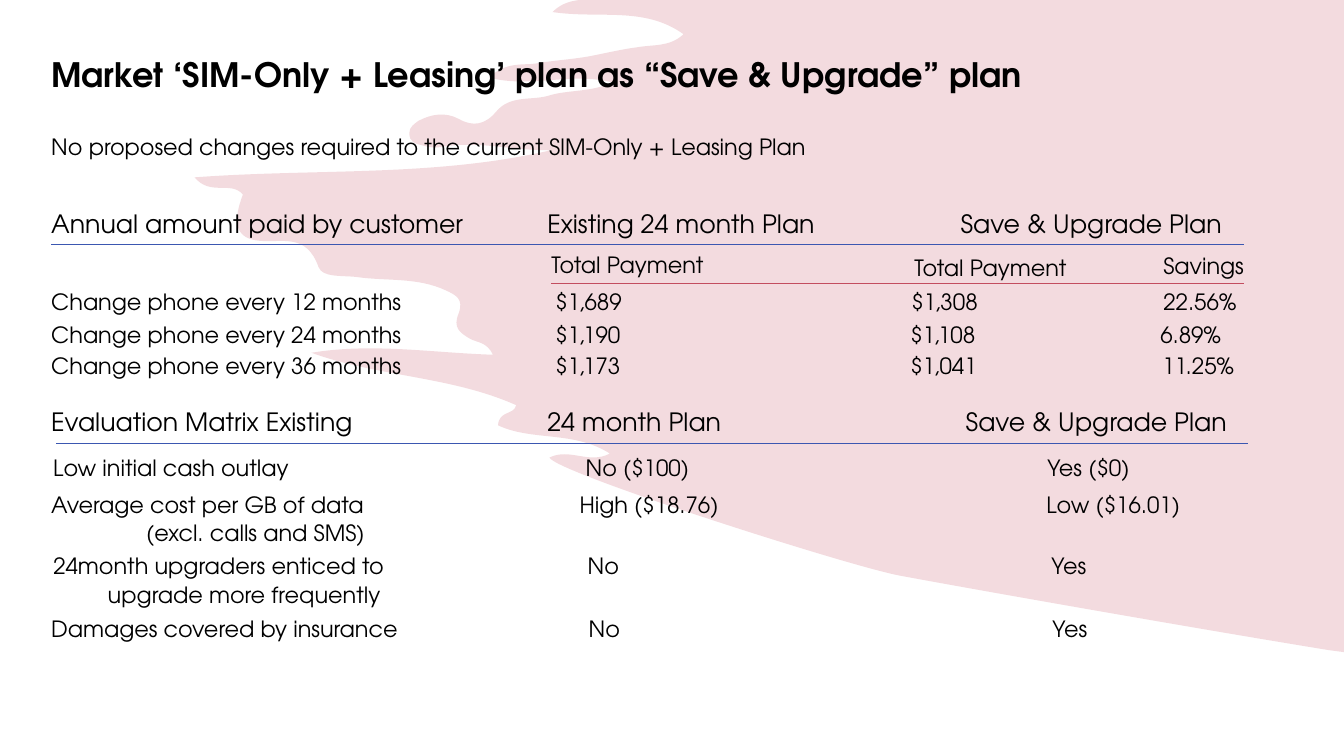
"""Build the slide that compares the existing plan with the Save & Upgrade plan."""
from lxml import etree
from pptx import Presentation
from pptx.dml.color import RGBColor
from pptx.enum.shapes import MSO_CONNECTOR
from pptx.enum.text import MSO_ANCHOR, MSO_AUTO_SIZE, PP_ALIGN
from pptx.oxml.ns import qn
from pptx.util import Pt

STRAIGHT = MSO_CONNECTOR.STRAIGHT
MIDDLE = MSO_ANCHOR.MIDDLE
LEFT = PP_ALIGN.LEFT
FIT_SHAPE = MSO_AUTO_SIZE.SHAPE_TO_FIT_TEXT
NO_FIT = MSO_AUTO_SIZE.NONE

PX = 9144
FONT = "TeX Gyre Adventor"
COLORS = {"text": "000000", "rose": "C34D5F", "blue": "3B57B1"}
BRUSH_CURVES = [
    ((567, 1), (557, 3), (548, 12)), ((595, 19), (639, 6), (678, 34)),
    ((664, 47), (648, 44), (632, 47)), ((616, 49), (600, 53), (584, 56)),
    ((567, 59), (549, 60), (532, 63)), ((518, 65), (502, 61), (485, 77)),
    ((527, 88), (566, 71), (608, 82)), ((584, 92), (563, 89), (544, 95)),
    ((527, 100), (506, 94), (492, 111)), ((481, 124), (469, 126), (455, 118)),
    ((442, 111), (428, 113), (415, 120)), ((411, 123), (406, 126), (406, 132)),
    ((406, 141), (412, 143), (418, 144)), ((424, 146), (431, 147), (437, 146)),
    ((474, 139), (510, 150), (547, 149)), ((431, 176), (314, 167), (193, 176)),
    ((209, 195), (229, 179), (241, 193)), ((230, 222), (234, 237), (258, 239)),
    ((280, 241), (304, 231), (316, 265)), ((320, 276), (341, 273), (355, 275)),
    ((384, 279), (414, 275), (442, 288)), ((453, 293), (460, 297), (455, 311)),
    ((449, 325), (456, 330), (466, 336)), ((473, 340), (483, 339), (489, 352)),
    ((428, 350), (369, 340), (309, 350)), ((375, 374), (447, 373), (512, 402)),
    ((510, 412), (495, 407), (494, 422)), ((528, 438), (569, 427), (605, 450)),
    ((584, 461), (565, 444), (545, 454)), ((552, 469), (840, 561), (892, 571)),
    ((978, 587), (1195, 625), (1318, 645)),
]
ROWS = [
    (41, 127, 1029, 16, ["No proposed changes required to the current SIM-Only + Leasing Plan"], []),
    (41, 202, 1217, 18,
     ["Annual amount paid by customer", "Existing 24 month Plan", "Save & Upgrade Plan"], [492, 902]),
    (537, 244, 207, 16, ["Total Payment"], []),
    (897, 247, 207, 16, ["Total Payment"], []),
    (1144, 245, 110, 16, ["Savings"], []),
    (41, 281, 1205, 16,
     ["Change phone every 12 months", "$1,689", "$1,308", "22.56%"], [500, 853, 1103]),
    (41, 314, 1195, 16,
     ["Change phone every 24 months", "$1,190", "$1,108", "6.89%"], [500, 852, 1100]),
    (41, 344, 1208, 16,
     ["Change phone every 36 months", "$1,173", "$1,041", "11.25%"], [500, 852, 1102]),
    (41, 398, 1194, 18,
     ["Evaluation Matrix Existing", "24 month Plan", "Save & Upgrade Plan"], [492, 907]),
    (43, 446, 1114, 16, ["Low initial cash outlay", "No ($100)", "Yes ($0)"], [528, 986]),
    (41, 482, 1170, 16,
     ["Average cost per GB of data", "High ($18.76)", "Low ($16.01)"], [524, 987]),
    (43, 543, 1059, 16, ["24month upgraders enticed to", "No", "Yes"], [530, 990]),
    (41, 605, 1071, 16, ["Damages covered by insurance", "No", "Yes"], [533, 993]),
    (135, 510, 281, 16, ["(excl. calls and SMS)"], []),
    (97, 572, 295, 16, ["upgrade more frequently"], []),
]
RULES = [(51, 1234, 242, "blue"), (547, 1234, 281, "rose"), (56, 1238, 440, "blue")]


def write_text(paragraph, text, size, bold):
    """Put one formatted run in the paragraph."""
    run = paragraph.add_run()
    run.text = text
    for name, value in {"name": FONT, "size": Pt(size), "bold": bold}.items():
        setattr(run.font, name, value)
    run.font.color.rgb = RGBColor.from_string(COLORS["text"])


presentation = Presentation()
presentation.slide_width = 1333 * PX
presentation.slide_height = 750 * PX
slide = presentation.slides.add_slide(presentation.slide_layouts[5])

builder = slide.shapes.build_freeform(1333, 0, scale=PX)
curve_points = [point for curve in BRUSH_CURVES for point in curve]
builder.add_line_segments([(575, 0), *curve_points, (1333, 647)], close=True)
brush = builder.convert_to_shape()
segments = list(brush.element.iter(qn("a:lnTo")))[1:-1]
for index in range(0, len(segments), 3):
    curve = etree.Element(qn("a:cubicBezTo"))
    segments[index].addprevious(curve)
    for segment in segments[index:index + 3]:
        curve.append(segment[0])
        segment.getparent().remove(segment)
brush.shadow.inherit = False
brush.line.fill.background()
brush.fill.solid()
brush.fill.fore_color.rgb = RGBColor.from_string(COLORS["rose"])
brush_color = brush.element.spPr.find(qn("a:solidFill"))[0]
etree.SubElement(brush_color, qn("a:alpha"), val="20000")
brush.element.getparent().insert(2, brush.element)

title = slide.shapes.title
for name, value in {"left": 41, "top": 44, "width": 1150, "height": 64}.items():
    setattr(title, name, value * PX)
for name, value in {"vertical_anchor": MIDDLE, "word_wrap": True, "auto_size": NO_FIT}.items():
    setattr(title.text_frame, name, value)
title_paragraph = title.text_frame.paragraphs[0]
title_paragraph.alignment = LEFT
title_paragraph.line_spacing = 0.9
write_text(title_paragraph, "Market ‘SIM-Only + Leasing’ plan as “Save & Upgrade” plan", 24, True)

for left, top, width, size, cells, tabs in ROWS:
    height = 40 if size == 18 else 37
    box = slide.shapes.add_textbox(left * PX, top * PX, width * PX, height * PX)
    box.text_frame.word_wrap = True
    box.text_frame.auto_size = FIT_SHAPE
    paragraph = box.text_frame.paragraphs[0]
    write_text(paragraph, "\t".join(cells), size, False)
    if tabs:
        tab_list = etree.SubElement(paragraph._p.get_or_add_pPr(), qn("a:tabLst"))
        for tab in tabs:
            etree.SubElement(tab_list, qn("a:tab"), pos=str(tab * PX), algn="l")

for left, right, top, color in RULES:
    rule = slide.shapes.add_connector(STRAIGHT, left * PX, top * PX, right * PX, top * PX)
    rule.line.color.rgb = RGBColor.from_string(COLORS[color])
    rule.line.width = Pt(0.5)
    etree.SubElement(rule.element.spPr, qn("a:effectLst"))

presentation.save("out.pptx")
